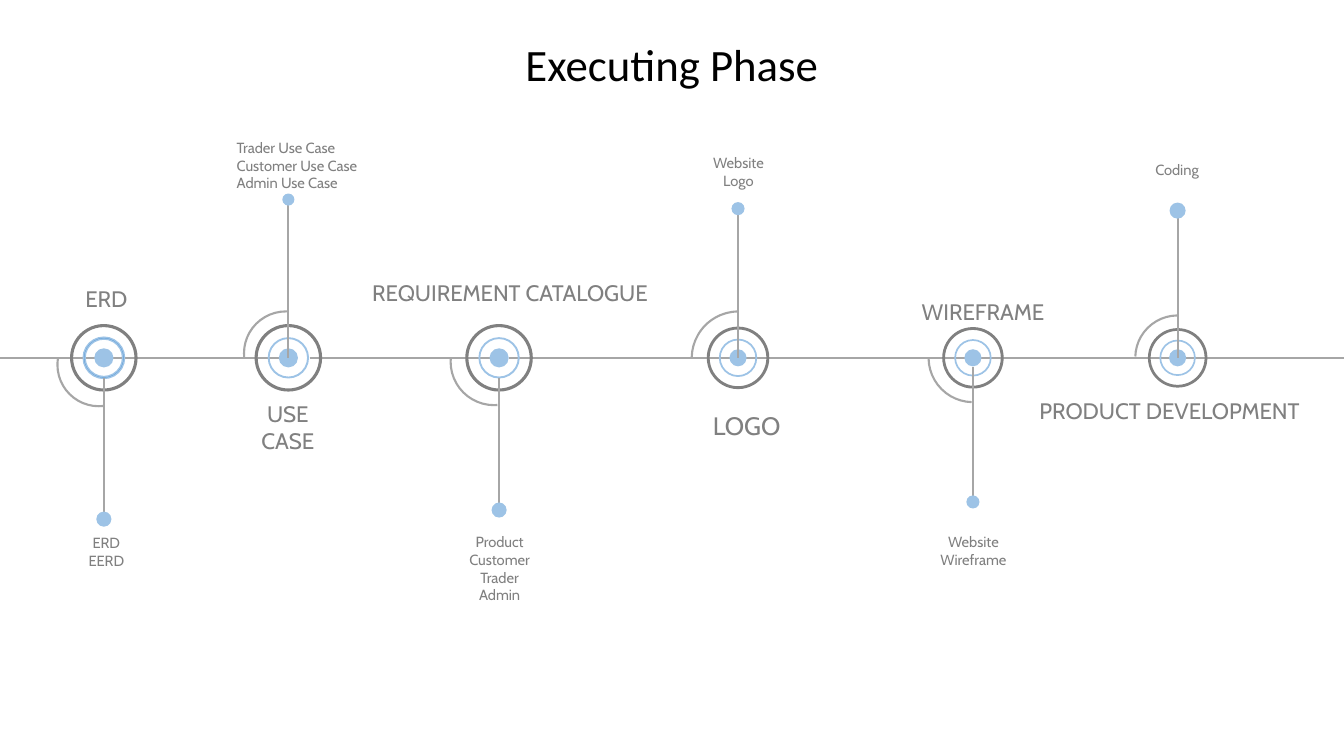
from dataclasses import dataclass

from lxml.etree import SubElement
from pptx import Presentation
from pptx.dml.color import RGBColor
from pptx.enum.shapes import MSO_CONNECTOR as Connector, MSO_SHAPE as Shape
from pptx.enum.text import MSO_AUTO_SIZE as AutoSize, PP_ALIGN as Align
from pptx.oxml.ns import qn
from pptx.util import Emu, Pt

PX = 9144
AXIS_Y = 355
RING_BAND = 0.046
INNER_RATIO, HUB_RATIO = 0.61, 0.28


@dataclass(frozen=True)
class Theme:
    title_font: str = "Calibri"
    font: str = "Cabin"
    black: str = "000000"
    gray: str = "808080"
    line: str = "A6A6A6"
    sky: str = "9DC3E6"
    blue: str = "5B9BD5"
    title: float = 32
    logo: float = 18
    heading: float = 16
    detail: float = 10.5
    stroke: float = 1.5
    thin: float = 1


@dataclass(frozen=True)
class Milestone:
    x: int
    ring: int
    arc: tuple
    sweep: tuple
    stem_start: int
    tip_y: int
    tip: int
    heading: str
    heading_box: tuple
    details: tuple
    details_box: tuple


MILESTONES = [
    Milestone(103, 67, (57, 321, 82), (50.06, 113.8), 375, 515, 15,
              "ERD", (54, 278, 103, 37),
              ("ERD", "EERD"), (54, 525, 103, 45)),
    Milestone(286, 67, (242, 309, 83), (50.68, 109.25), AXIS_Y, 198, 12,
              "USE CASE", (234, 392, 103, 64),
              ("Trader Use Case", "Customer Use Case", "Admin Use Case"),
              (225, 133, 193, 63)),
    Milestone(495, 67, (447, 316, 86), (51.24, 110.98), 375, 506, 15,
              "REQUIREMENT CATALOGUE", (308, 272, 396, 37),
              ("Product", "Customer", "Trader", "Admin"),
              (435, 524, 121, 81)),
    Milestone(732, 62, (686, 309, 93), (55.06, 107.4), AXIS_Y, 207, 13,
              "LOGO", (689, 402, 103, 40),
              ("Website", "Logo"), (681, 148, 103, 45)),
    Milestone(965, 61, (921, 311, 88), (55.06, 107.4), 364, 498, 13,
              "WIREFRAME", (861, 291, 228, 37),
              ("Website", "Wireframe"), (905, 524, 121, 45)),
    Milestone(1168, 59, (1126, 313, 84), (55.06, 107.4), AXIS_Y, 209, 16,
              "PRODUCT DEVELOPMENT", (976, 389, 368, 37),
              ("Coding",), (1116, 155, 103, 28)),
]
AXIS_SEGMENTS = [(0, 103), (103, 277), (307, 488), (505, 724), (732, 957), (967, 1333)]


class TimelineSlide:
    """Draws timeline elements on one slide, with lengths in hundredths of an inch."""

    def __init__(self, slide, theme):
        self.shapes = slide.shapes
        self.theme = theme

    def emu(self, *lengths):
        return [Emu(round(length * PX)) for length in lengths]

    def line(self, x1, y1, x2, y2):
        line = self.shapes.add_connector(Connector.STRAIGHT, *self.emu(x1, y1, x2, y2))
        self.stroke(line, self.theme.line, self.theme.stroke)
        SubElement(line._element.spPr, qn("a:effectLst"))

    def stroke(self, shape, color, width):
        shape.line.color.rgb = RGBColor.from_string(color)
        shape.line.width = Pt(width)

    def round_shape(self, kind, x, y, size, color):
        box = self.emu(x - size / 2, y - size / 2, size, size)
        shape = self.shapes.add_shape(kind, *box)
        shape.shadow.inherit = False
        shape.fill.solid()
        shape.fill.fore_color.rgb = RGBColor.from_string(color)
        shape.line.fill.background()
        return shape

    def dot(self, x, y, size):
        self.round_shape(Shape.OVAL, x, y, size, self.theme.sky)

    def ring(self, x, size, color):
        ring = self.round_shape(Shape.DONUT, x, AXIS_Y, size, color)
        ring.adjustments[0] = RING_BAND
        return ring

    def arc(self, left, top, size, sweep, upward):
        arc = self.shapes.add_shape(Shape.ARC, *self.emu(left, top, size, size))
        arc.shadow.inherit = False
        arc.fill.background()
        self.stroke(arc, self.theme.line, self.theme.stroke)
        arc.adjustments[0], arc.adjustments[1] = sweep
        arc.rotation = 90 if upward else 0

    def text(self, box, lines, size, color=None, font=None, align=Align.CENTER):
        frame = self.shapes.add_textbox(*self.emu(*box)).text_frame
        frame.word_wrap = True
        frame.auto_size = AutoSize.SHAPE_TO_FIT_TEXT
        frame.text = "\n".join(lines)
        for paragraph in frame.paragraphs:
            paragraph.alignment = align
            paragraph.font.name = font or self.theme.font
            paragraph.font.size = Pt(size)
            paragraph.font.color.rgb = RGBColor.from_string(color or self.theme.gray)

    def milestone(self, stop):
        theme = self.theme
        upward = stop.tip_y < AXIS_Y
        first = stop.heading == "ERD"
        self.arc(*stop.arc, stop.sweep, upward)
        self.dot(stop.x, AXIS_Y, round(stop.ring * HUB_RATIO))
        inner = self.ring(stop.x, round(stop.ring * INNER_RATIO),
                          theme.blue if first else theme.sky)
        if first:
            self.stroke(inner, theme.sky, theme.thin)
        self.ring(stop.x, stop.ring, theme.gray)
        self.line(stop.x, stop.stem_start, stop.x, stop.tip_y)
        self.dot(stop.x, stop.tip_y, stop.tip)
        self.text(stop.heading_box, [stop.heading],
                  theme.logo if stop.heading == "LOGO" else theme.heading)
        self.text(stop.details_box, stop.details, theme.detail,
                  align=Align.LEFT if stop.heading == "USE CASE" else Align.CENTER)


def main():
    deck = Presentation()
    deck.slide_width, deck.slide_height = Emu(1333 * PX), Emu(750 * PX)
    theme = Theme()
    timeline = TimelineSlide(deck.slides.add_slide(deck.slide_layouts[6]), theme)
    timeline.text((275, 32, 783, 64), ["Executing Phase"], theme.title,
                  theme.black, theme.title_font)
    for start, end in AXIS_SEGMENTS:
        timeline.line(start, AXIS_Y, end, AXIS_Y)
    for stop in MILESTONES:
        timeline.milestone(stop)
    deck.save("out.pptx")


if __name__ == "__main__":
    main()
